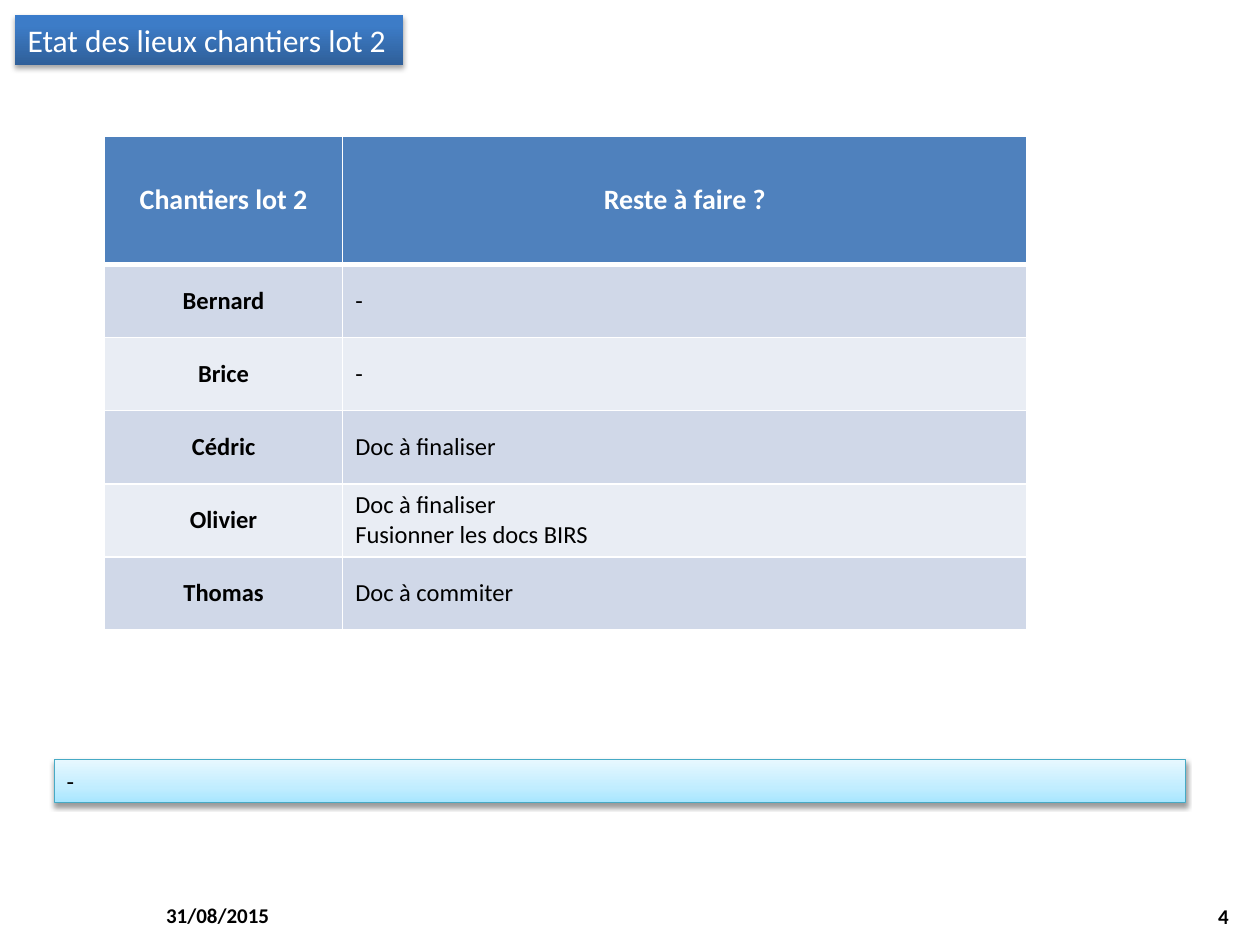
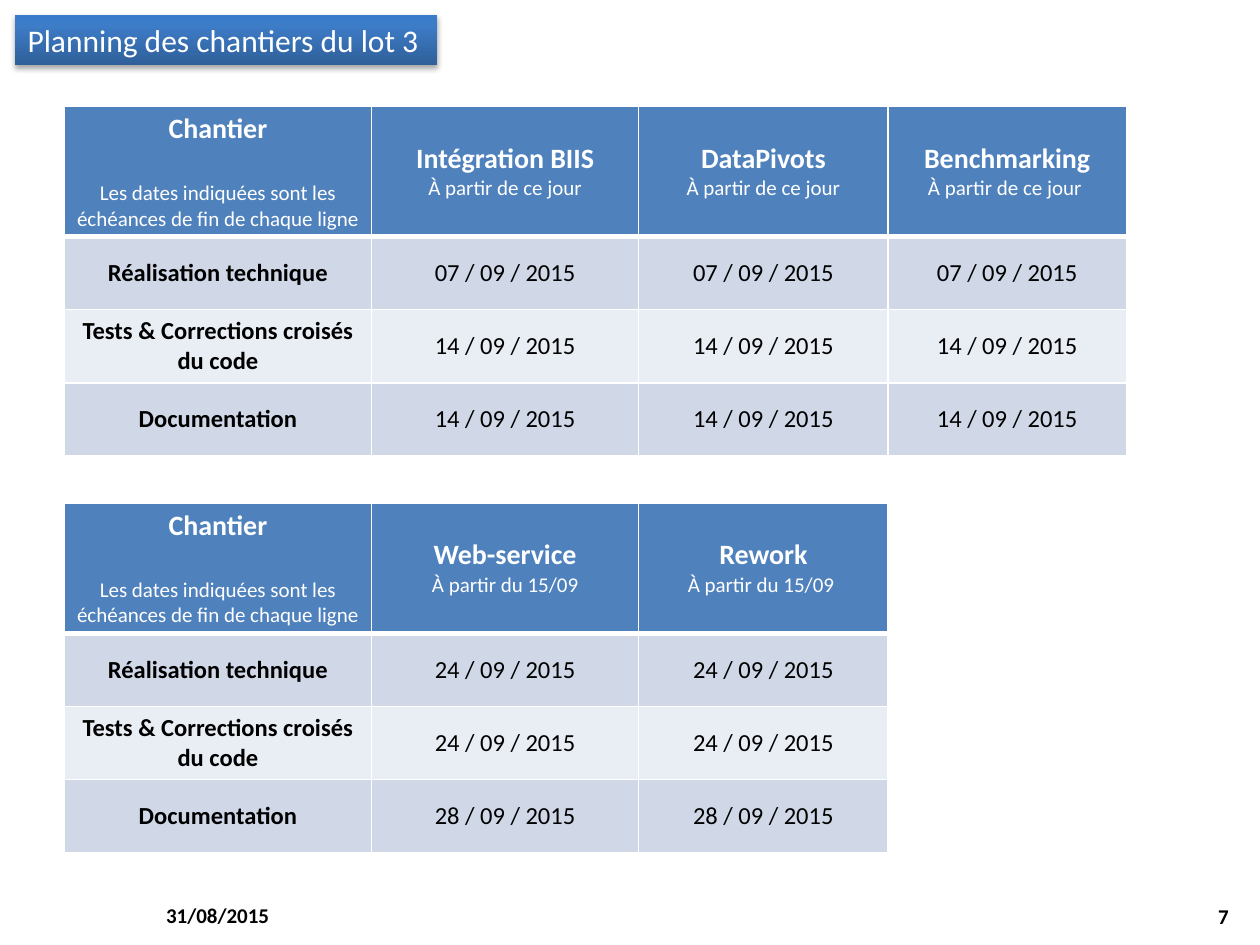
from copy import deepcopy

from lxml import etree
from pptx import Presentation
from pptx.dml.color import RGBColor
from pptx.enum.shapes import MSO_SHAPE
from pptx.enum.text import MSO_ANCHOR, MSO_AUTO_SIZE, PP_ALIGN
from pptx.oxml.ns import qn
from pptx.util import Inches, Pt

RECT = MSO_SHAPE.RECTANGLE
TOP, MIDDLE = MSO_ANCHOR.TOP, MSO_ANCHOR.MIDDLE
LEFT, CENTER, RIGHT = PP_ALIGN.LEFT, PP_ALIGN.CENTER, PP_ALIGN.RIGHT
GROW = MSO_AUTO_SIZE.SHAPE_TO_FIT_TEXT

# Colours
BLACK = RGBColor(0x00, 0x00, 0x00)
WHITE = RGBColor(0xFF, 0xFF, 0xFF)
HEADER = RGBColor(0x4F, 0x81, 0xBD)
BANDS = (RGBColor(0xD0, 0xD8, 0xE8), RGBColor(0xE9, 0xED, 0xF4))
NOTE_LINE = RGBColor(0x46, 0xAA, 0xC5)
TITLE_STOPS = ((0, RGBColor(0x2F, 0x5F, 0x99)),
               (0.8, RGBColor(0x3D, 0x7C, 0xC7)),
               (1, RGBColor(0x3A, 0x7C, 0xCB)))
NOTE_STOPS = ((0, RGBColor(0xA7, 0xE6, 0xFF)),
              (0.35, RGBColor(0xC1, 0xED, 0xFF)),
              (1, RGBColor(0xE7, 0xF8, 0xFF)))

# Text formats
FONT = "Calibri"
TITLE = {"size": Pt(18), "bold": False}
HEAD = {"size": Pt(16), "bold": True}
SUBHEAD = {"size": Pt(12), "bold": False}
LABEL = {"size": Pt(14), "bold": True}
BODY = {"size": Pt(14), "bold": False}
FOOTER = {"size": Pt(12), "bold": True}

HEAD_HEIGHT, ROW_HEIGHT = 1.02, 0.58


class Deck:
    """Holds the style and the current slide."""

    def __init__(self):
        self.prs = Presentation()
        self.prs.slide_width, self.prs.slide_height = Inches(10), Inches(7.5)
        self.s = None

    def slide(self, title, title_width, number):
        self.s = self.prs.slides.add_slide(self.prs.slide_layouts[6])
        self.footer("31/08/2015", 1.22, 7.06, LEFT)
        self.footer(number, 7.52, 7.07, RIGHT)
        sp = self.box(0.12, 0.12, title_width, 0.4, TITLE_STOPS, 35, 1.8)
        sp.line.fill.background()
        sp.text_frame.word_wrap = False
        self.put_text(sp.text_frame, [(title, TITLE)], WHITE)

    def put_text(self, tf, lines, color, align=LEFT, gap=0):
        """Set (text, format) lines; gap is the space before later lines."""
        for i, (text, fmt) in enumerate(lines):
            p = tf.paragraphs[0] if i == 0 else tf.add_paragraph()
            p.alignment = align
            if i and gap:
                p.space_before = Pt(gap)
            r = p.add_run()
            r.text = text
            r.font.name = FONT
            r.font.color.rgb = color
            for name, value in fmt.items():
                setattr(r.font, name, value)

    def footer(self, text, x, y, align):
        sp = self.s.shapes.add_textbox(
            Inches(x), Inches(y), Inches(2.33), Inches(0.4))
        tf = sp.text_frame
        tf.word_wrap = True
        tf.vertical_anchor = MIDDLE
        self.put_text(tf, [(text, FOOTER)], BLACK, align)

    def box(self, x, y, w, h, stops, opacity, distance):
        """Rectangle with an upward gradient and a soft shadow below."""
        sp = self.s.shapes.add_shape(
            RECT, Inches(x), Inches(y), Inches(w), Inches(h))
        props = sp.element.spPr
        sp.fill.gradient()
        sp.fill.gradient_angle = 90
        gs_list = props.find(".//" + qn("a:gsLst"))
        gs_list.append(deepcopy(gs_list[-1]))
        for stop, (position, color) in zip(sp.fill.gradient_stops, stops):
            stop.position = position
            stop.color.rgb = color
        sp.shadow.inherit = False
        shadow = etree.SubElement(
            props.find(qn("a:effectLst")), qn("a:outerShdw"),
            blurRad=str(Pt(3.1)), dist=str(Pt(distance)),
            dir="5400000", rotWithShape="0")
        clr = etree.SubElement(shadow, qn("a:srgbClr"), val=str(BLACK))
        etree.SubElement(clr, qn("a:alpha"), val=str(opacity * 1000))
        sp.text_frame.auto_size = GROW
        sp.text_frame.vertical_anchor = TOP
        return sp

    def note(self, text, x, y, w, h):
        sp = self.box(x, y, w, h, NOTE_STOPS, 38, 1.6)
        sp.line.color.rgb = NOTE_LINE
        sp.line.width = Pt(0.75)
        sp.text_frame.word_wrap = True
        self.put_text(sp.text_frame, [(text, BODY)], BLACK)

    def borders(self, cell, top, bottom):
        tc_pr = cell._tc.get_or_add_tcPr()
        for side, width in zip("LRTB", (1, 1, top, bottom)):
            ln = etree.SubElement(tc_pr, qn("a:ln" + side), w=str(Pt(width)))
            fill = etree.SubElement(ln, qn("a:solidFill"))
            etree.SubElement(fill, qn("a:srgbClr"), val=str(WHITE))

    def table(self, x, y, widths, rows, align=CENTER):
        """First row is the header, first column the labels.

        Each cell is a tuple of lines; align places the body cells.
        """
        heights = [HEAD_HEIGHT] + [ROW_HEIGHT] * (len(rows) - 1)
        tbl = self.s.shapes.add_table(
            len(rows), len(widths), Inches(x), Inches(y),
            Inches(sum(widths)), Inches(sum(heights))).table
        for col, width in zip(tbl.columns, widths):
            col.width = Inches(width)
        for i, row in enumerate(rows):
            tbl.rows[i].height = Inches(heights[i])
            for j, lines in enumerate(row):
                cell = tbl.cell(i, j)
                self.borders(cell, 3 if i == 1 else 1, 3 if i == 0 else 1)
                cell.fill.solid()
                cell.fill.fore_color.rgb = BANDS[(i - 1) % 2] if i else HEADER
                cell.vertical_anchor = MIDDLE
                if i == 0:
                    formats = (HEAD, SUBHEAD)
                else:
                    formats = (BODY if j else LABEL,) * len(lines)
                self.put_text(cell.text_frame, list(zip(lines, formats)),
                              BLACK if i else WHITE,
                              align if i and j else CENTER,
                              19.5 if i == j == 0 else 0)

    def planning(self, y, widths, projects, dates):
        """Planning table: one column per project, one date per step."""
        corner = ("Chantier", "Les dates indiquées sont les "
                  "échéances de fin de chaque ligne")
        steps = ("Réalisation technique",
                 "Tests & Corrections croisés du code", "Documentation")
        rows = [[corner, *projects]]
        for step, date in zip(steps, dates):
            rows.append([(step,)] + [(date,)] * len(projects))
        self.table(0.51, y, widths, rows)


deck = Deck()

# Slide 1: what remains to be done on lot 2
deck.slide("Etat des lieux chantiers lot 2", 3.08, "4")
deck.table(0.83, 1.08, (1.89, 5.43), [
    (("Chantiers lot 2",), ("Reste à faire ?",)),
    (("Bernard",), ("-",)),
    (("Brice",), ("-",)),
    (("Cédric",), ("Doc à finaliser",)),
    (("Olivier",), ("Doc à finaliser", "Fusionner les docs BIRS")),
    (("Thomas",), ("Doc à commiter",)),
], LEFT)
deck.note("-", 0.43, 6.03, 8.98, 0.34)

# Slide 2: planning of lot 3
deck.slide("Planning des chantiers du lot 3", 3.35, "7")
columns = (2.44, 2.12, 1.98, 1.89)
today, later = "À partir de ce jour", "À partir du 15/09"
deck.planning(0.84, columns,
              [("Intégration BIIS", today), ("DataPivots", today),
               ("Benchmarking", today + " ")],
              ("07 / 09 / 2015", "14 / 09 / 2015", "14 / 09 / 2015"))
deck.planning(3.99, columns[:3],
              [("Web-service", later), ("Rework", later + " ")],
              ("24 / 09 / 2015", "24 / 09 / 2015", "28 / 09 / 2015"))

deck.prs.save("out.pptx")
